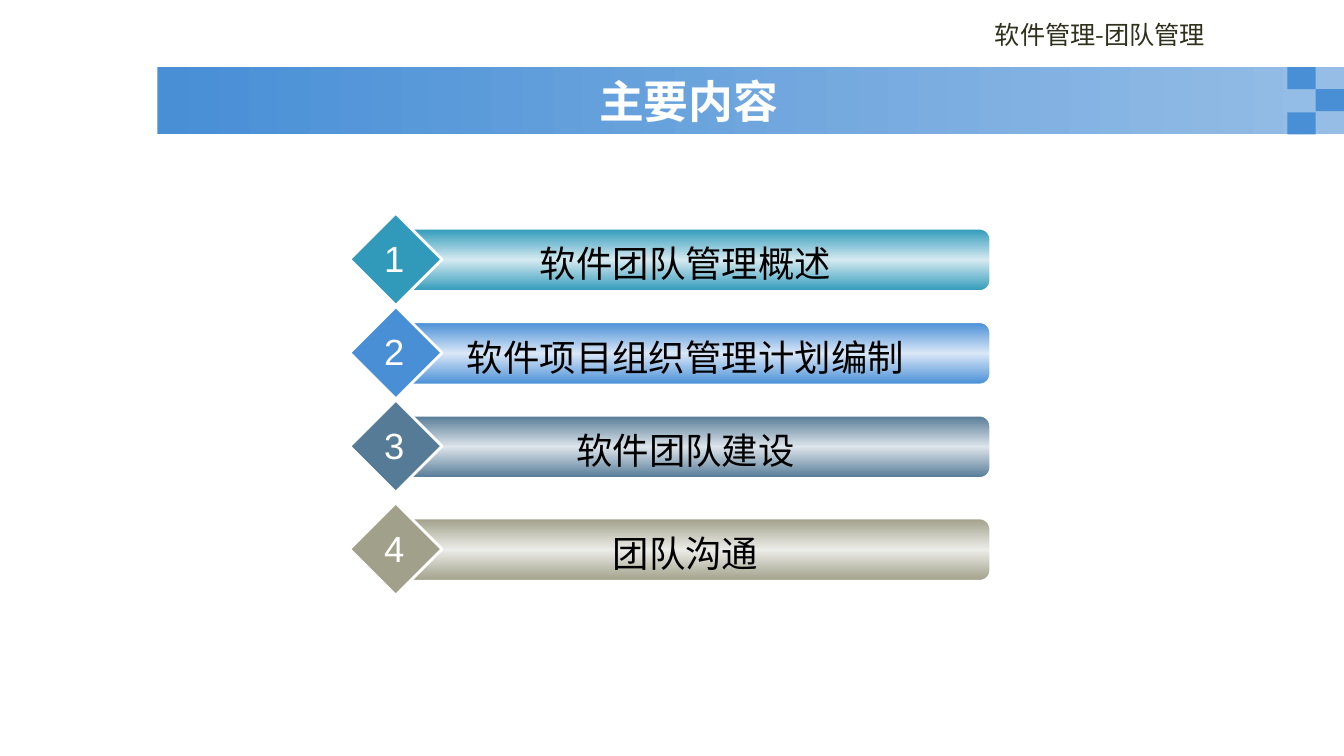
from copy import deepcopy

from pptx import Presentation
from pptx.dml.color import RGBColor
from pptx.enum.shapes import MSO_SHAPE as Shape
from pptx.enum.text import MSO_ANCHOR as Anchor, PP_ALIGN as Align
from pptx.oxml.ns import qn
from pptx.util import Emu, Pt

EMU_PER_PX = 9525
COLORS = {
    "white": "FFFFFF", "black": "000000", "header": "30311D",
    "banner": "488FD6", "banner_end": "95BDE6",
    "teal": "319ABB", "teal_glow": "D5EAF0",
    "blue": "488FD6", "blue_glow": "DAE7F7",
    "slate": "557B97", "slate_glow": "DDE4EA",
    "olive": "A1A18B", "olive_glow": "ECECE8",
}
TOPICS = [
    ("软件团队管理概述", 203, "teal"),
    ("软件项目组织管理计划编制", 292, "blue"),
    ("软件团队建设", 381, "slate"),
    ("团队沟通", 479, "olive"),
]


def px(*lengths):
    """Turn pixel lengths into EMU."""
    return [Emu(length * EMU_PER_PX) for length in lengths]


def add_block(shapes, preset, box, fill=None, outline_pt=0):
    """Add a shadowless preset shape with an optional white outline."""
    block = shapes.add_shape(preset, *px(*box))
    block.shadow.inherit = False
    if fill:
        block.fill.solid()
        block.fill.fore_color.rgb = RGBColor.from_string(fill)
    if outline_pt:
        block.line.color.rgb = RGBColor.from_string(COLORS["white"])
        block.line.width = Pt(outline_pt)
    else:
        block.line.fill.background()
    return block


def fill_gradient(block, colors, angle):
    """Spread the colors evenly along a linear gradient."""
    block.fill.gradient()
    block.fill.gradient_angle = angle
    stop_list = block.fill._xPr.find(qn("a:gradFill")).find(qn("a:gsLst"))
    for _ in colors[2:]:
        stop_list.append(deepcopy(stop_list[-1]))
    for index, (stop, color) in enumerate(zip(block.fill.gradient_stops, colors)):
        stop.position = index / (len(colors) - 1)
        stop.color.rgb = RGBColor.from_string(color)


def write(frame, text, size, color, font, align=Align.CENTER, bold=False):
    """Write one formatted paragraph into a text frame."""
    frame.text = text
    paragraph = frame.paragraphs[0]
    paragraph.alignment = align
    paragraph.font.name = font
    paragraph.font.size = Pt(size)
    paragraph.font.bold = bold
    paragraph.font.color.rgb = RGBColor.from_string(color)


def add_label(shapes, box, *style, wrap=True, **options):
    """Add a text box with one paragraph."""
    frame = shapes.add_textbox(*px(*box)).text_frame
    frame.word_wrap = wrap
    write(frame, *style, **options)


def add_banner(slide, box):
    """Add the header text, gradient banner, checker squares and title."""
    left, top, width, height = box
    banner = add_block(slide.shapes, Shape.RECTANGLE, box)
    fill_gradient(banner, [COLORS["banner"], COLORS["banner_end"]], 0)

    checker = slide.shapes.add_group_shape().shapes
    side, rise = 27, height / 3
    for row, column in enumerate((0, 1, 0)):
        square = (left + width - (2 - column) * side, top + row * rise, side, rise)
        add_block(checker, Shape.RECTANGLE, [round(v) for v in square], COLORS["banner"])

    add_label(slide.shapes, (left + 788, top - 50, 307, 35), "软件管理-团队管理", 18,
              COLORS["header"], "Noto Sans CJK SC", align=Align.LEFT)

    title = slide.shapes.title
    banner._element.getparent().append(title._element)
    title.left, title.top, title.width, title.height = px(left + 31, top, 950, height)
    title.text_frame.vertical_anchor = Anchor.MIDDLE
    write(title.text_frame, "主要内容", 32, COLORS["white"], "Noto Sans CJK SC", bold=True)


def add_topic(slide, box, number, name, hue):
    """Add one numbered topic: bar, diamond, name and number."""
    left, top, width, height = box
    color, glow = COLORS[hue], COLORS[f"{hue}_glow"]
    parts = slide.shapes.add_group_shape().shapes
    bar = add_block(parts, Shape.ROUNDED_RECTANGLE,
                    (left + 49, top + 15, width - 49, 59), outline_pt=1)
    fill_gradient(bar, [color, glow, color], 90)
    add_block(parts, Shape.DIAMOND, (left, top, height, height), color, outline_pt=2)
    add_label(parts, (left + 98, top + 22, 444, 52), name, 26, COLORS["black"], "Arial")
    add_label(parts, (left + 23, top + 17, 39, 52), str(number), 26,
              COLORS["white"], "Arial", wrap=False)


def main():
    """Build the contents slide and save it."""
    deck = Presentation()
    deck.slide_width, deck.slide_height = px(1280, 720)
    slide = deck.slides.add_slide(deck.slide_layouts[5])
    add_banner(slide, (150, 64, 1130, 64))
    for number, (name, top, hue) in enumerate(TOPICS, 1):
        add_topic(slide, (333, top, 610, 88), number, name, hue)
    deck.save("out.pptx")


if __name__ == "__main__":
    main()
